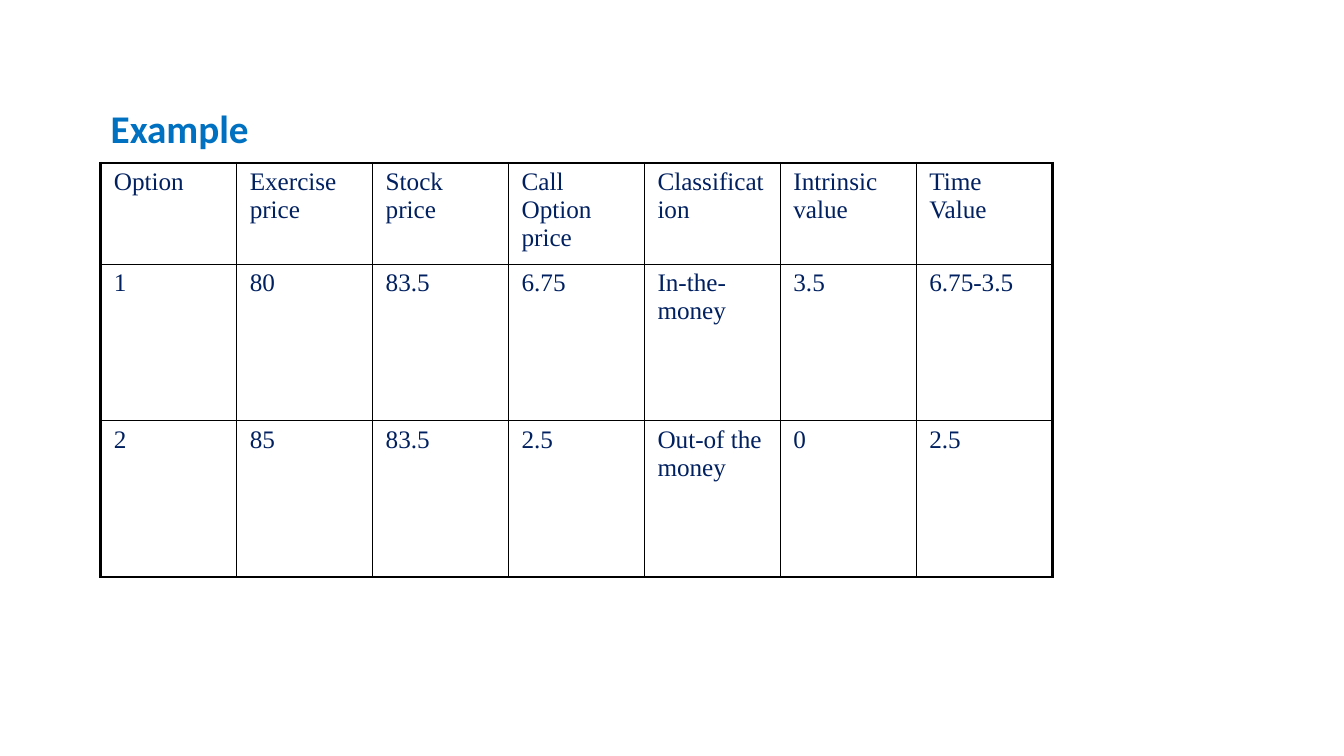
"""Builds a slide with a worked example of call option values."""
from lxml import etree
from pptx import Presentation
from pptx.dml.color import RGBColor
from pptx.enum.text import MSO_ANCHOR
from pptx.oxml.ns import qn
from pptx.util import Cm, Pt

MIDDLE = MSO_ANCHOR.MIDDLE
COLORS = {"heading": "0070C0", "entry": "002060", "rule": "000000"}
FORMATS = {
    "heading": {"name": "Calibri", "size": Pt(28), "bold": True},
    "entry": {"name": "Times New Roman", "size": Pt(18), "bold": False},
}
CELL_MARGINS = {
    "margin_left": Cm(0.33), "margin_right": Cm(0.33),
    "margin_top": Cm(0.13), "margin_bottom": Cm(0.13),
}
THIN, THICK = Pt(1), Pt(2.25)
ROW_HEIGHTS = [Cm(2.03), Cm(3.94), Cm(3.94)]
OPTIONS = [
    ["Option", "Exercise price", "Stock price", "Call Option price",
     "Classification", "Intrinsic value", "Time Value"],
    ["1", "80", "83.5", "6.75", "In-the-money", "3.5", "6.75-3.5"],
    ["2", "85", "83.5", "2.5", "Out-of the money", "0", "2.5"],
]


def write(frame, text, role):
    """Put text into a frame in the format of its role."""
    run = frame.paragraphs[0].add_run()
    run.text = text
    for attribute, value in FORMATS[role].items():
        setattr(run.font, attribute, value)
    run.font.color.rgb = RGBColor.from_string(COLORS[role])


def add_heading(slide, text, left, top, width, height):
    """Place the heading in its box."""
    heading = slide.shapes.add_textbox(left, top, width, height).text_frame
    heading.word_wrap = True
    heading.vertical_anchor = MIDDLE
    heading.paragraphs[0].line_spacing = 0.9
    write(heading, text, "heading")


def rule_cell(cell, widths):
    """Draw the borders of a cell, given a width for each side."""
    properties = cell._tc.get_or_add_tcPr()
    for side, width in widths.items():
        border = etree.SubElement(properties, qn(f"a:ln{side}"), w=str(width))
        fill = etree.SubElement(border, qn("a:solidFill"))
        etree.SubElement(fill, qn("a:srgbClr"), val=COLORS["rule"])


def add_options_table(slide, rows, left, top, width):
    """Place the options table with a thick frame and thin inner rules."""
    last_row, last_column = len(rows) - 1, len(rows[0]) - 1
    table = slide.shapes.add_table(
        len(rows), len(rows[0]), left, top, width, sum(ROW_HEIGHTS)).table
    table.first_row = table.horz_banding = False
    for column in table.columns:
        column.width = width // len(rows[0])
    for r, entries in enumerate(rows):
        table.rows[r].height = ROW_HEIGHTS[r]
        for c, entry in enumerate(entries):
            cell = table.cell(r, c)
            for attribute, value in CELL_MARGINS.items():
                setattr(cell, attribute, value)
            rule_cell(cell, {
                "L": THICK if c == 0 else THIN,
                "R": THICK if c == last_column else THIN,
                "T": THICK if r == 0 else THIN,
                "B": THICK if r == last_row else THIN,
            })
            cell.fill.background()
            write(cell.text_frame, entry, "entry")


def main():
    """Build and save the slide."""
    deck = Presentation()
    deck.slide_width, deck.slide_height = Cm(33.87), Cm(19.05)
    slide = deck.slides.add_slide(deck.slide_layouts[6])
    left = Cm(2.54)
    add_heading(slide, "Example", left, Cm(1.7), Cm(28.78), Cm(3.18))
    add_options_table(slide, OPTIONS, left, Cm(4.11), Cm(23.98))
    deck.save("out.pptx")


if __name__ == "__main__":
    main()
